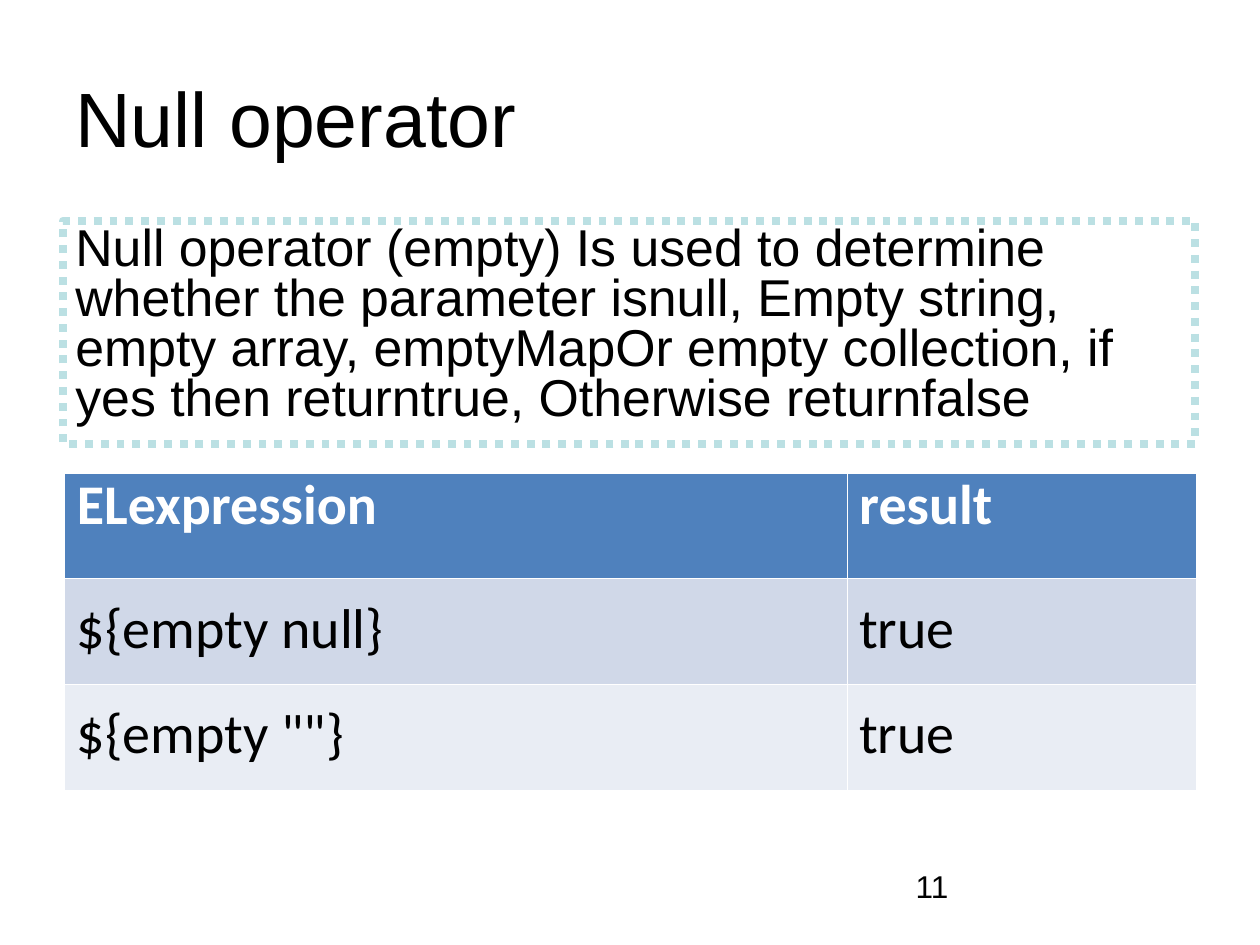
from lxml.etree import SubElement
from pptx import Presentation
from pptx.dml.color import RGBColor
from pptx.enum.dml import MSO_LINE
from pptx.enum.shapes import MSO_SHAPE
from pptx.enum.text import MSO_ANCHOR, MSO_AUTO_SIZE, PP_ALIGN
from pptx.oxml.ns import qn
from pptx.util import Cm, Pt

TITLE = "Null operator"
BODY = (
    "Null operator (empty) Is used to determine whether the parameter isnull, "
    "Empty string, empty array, emptyMapOr empty collection, if yes then "
    "returntrue, Otherwise returnfalse"
)
ROWS = [
    ("ELexpression", "result"),
    ("${empty null}", "true"),
    ('${empty ""}', "true"),
]
PAGE = "11"

COLORS = {
    "ink": "000000", "white": "FFFFFF", "frame": "BBE0E3",
    "head": "4F81BD", "odd": "D0D8E8", "even": "E9EDF4",
}
FILLS = ["head", "odd", "even"]
COLS = [15.77, 7.04]
ROW = 2.13
THIN, THICK = 0.23, 0.75

FRAME = {"word_wrap": True, "auto_size": MSO_AUTO_SIZE.NONE}
PAD = {"margin_left": Cm(0.25), "margin_right": Cm(0.25),
       "margin_top": Cm(0.13), "margin_bottom": Cm(0.13)}


def color(name):
    return RGBColor.from_string(COLORS[name])


def apply(target, values):
    for name, value in values.items():
        setattr(target, name, value)


def write(frame, text, size, font="Arial", ink="ink", bold=False, spacing=1.0):
    para = frame.paragraphs[0]
    apply(para, {"alignment": PP_ALIGN.LEFT, "line_spacing": spacing})
    run = para.add_run()
    run.text = text
    apply(run.font, {"name": font, "size": Pt(size), "bold": bold})
    run.font.color.rgb = color(ink)


def border(cell, widths):
    """Add white borders; the widths run left, right, top, bottom."""
    props = cell._tc.get_or_add_tcPr()
    for place, (side, width) in enumerate(zip("LRTB", widths)):
        line = props.makeelement(qn(f"a:ln{side}"), {"w": str(Pt(width))})
        fill = SubElement(line, qn("a:solidFill"))
        SubElement(fill, qn("a:srgbClr"), val=COLORS["white"])
        props.insert(place, line)


def add_title(slide):
    title = slide.shapes.title
    apply(title, {"left": Cm(1.27), "top": Cm(0.76),
                  "width": Cm(22.86), "height": Cm(3.18)})
    apply(title.text_frame,
          FRAME | PAD | {"vertical_anchor": MSO_ANCHOR.MIDDLE})
    write(title.text_frame, TITLE, 44)


def add_body(slide):
    box = slide.shapes.add_shape(
        MSO_SHAPE.RECTANGLE, Cm(1.27), Cm(4.45), Cm(22.83), Cm(4.5))
    box.shadow.inherit = False
    box.fill.background()
    box.line.color.rgb = color("frame")
    apply(box.line, {"width": Pt(4.5), "dash_style": MSO_LINE.ROUND_DOT})
    apply(box.text_frame, FRAME | PAD | {"vertical_anchor": MSO_ANCHOR.TOP})
    write(box.text_frame, BODY, 29.6, spacing=0.8)


def add_grid(slide):
    table = slide.shapes.add_table(
        len(ROWS), len(COLS), Cm(1.3), Cm(9.53),
        Cm(sum(COLS)), Cm(ROW * len(ROWS))).table
    for col, width in zip(table.columns, COLS):
        col.width = Cm(width)
    for r, texts in enumerate(ROWS):
        head = r == 0
        table.rows[r].height = Cm(ROW)
        for c, text in enumerate(texts):
            cell = table.cell(r, c)
            anchor = MSO_ANCHOR.TOP if head else MSO_ANCHOR.MIDDLE
            apply(cell, PAD | {"vertical_anchor": anchor})
            cell.fill.solid()
            cell.fill.fore_color.rgb = color(FILLS[r])
            write(cell.text_frame, text, 32, "Calibri",
                  "white" if head else "ink", head, 0.83)
            border(cell, (THIN, THIN, THICK if r == 1 else THIN,
                          THICK if head else THIN))


def add_page(slide):
    box = slide.shapes.add_textbox(Cm(18.21), Cm(17.35), Cm(5.92), Cm(1.32))
    apply(box.text_frame, FRAME | PAD)
    write(box.text_frame, PAGE, 18)


def main():
    deck = Presentation()
    apply(deck, {"slide_width": Cm(25.4), "slide_height": Cm(19.05)})
    slide = deck.slides.add_slide(deck.slide_layouts[5])
    add_page(slide)
    add_title(slide)
    add_body(slide)
    add_grid(slide)
    deck.save("out.pptx")


if __name__ == "__main__":
    main()
